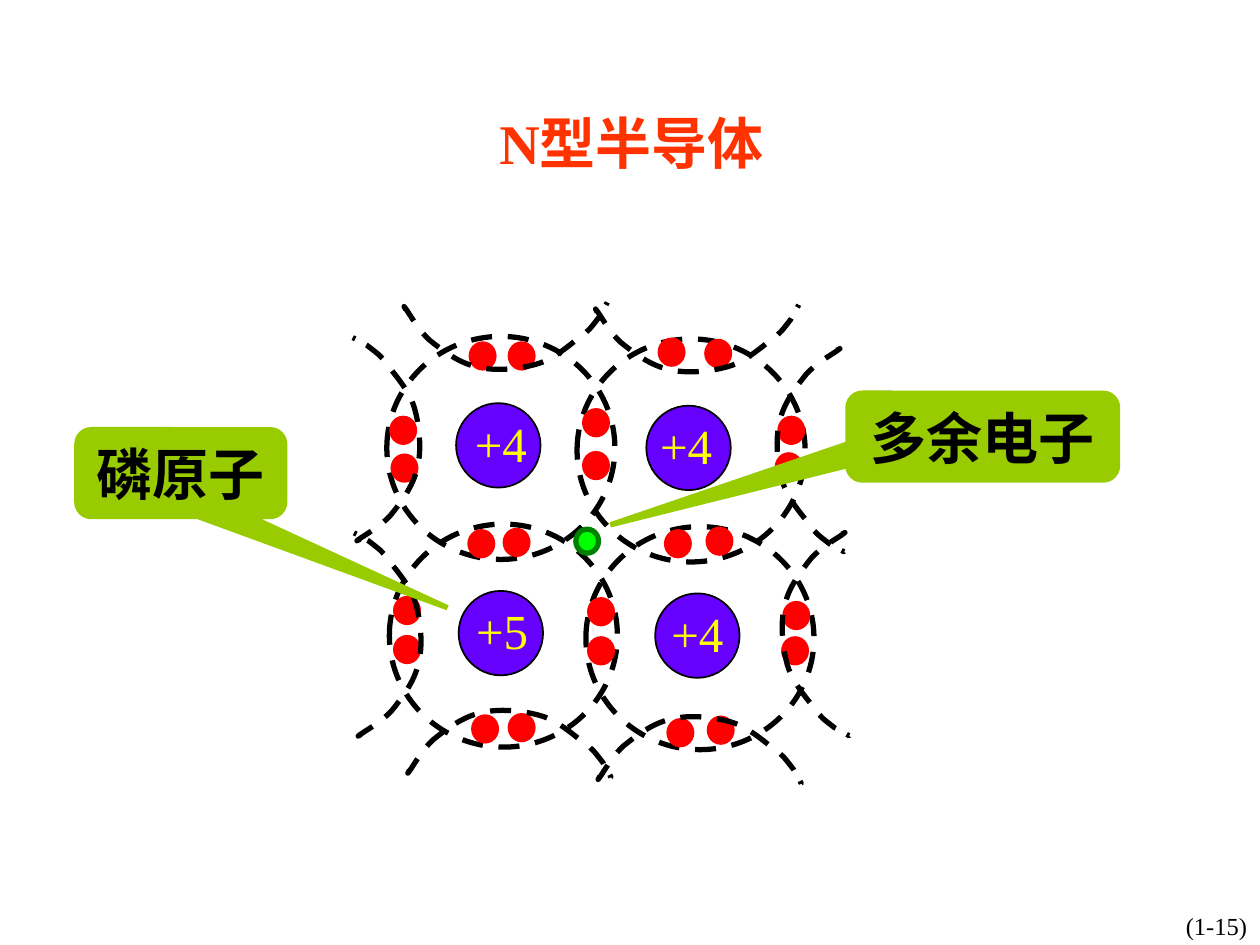
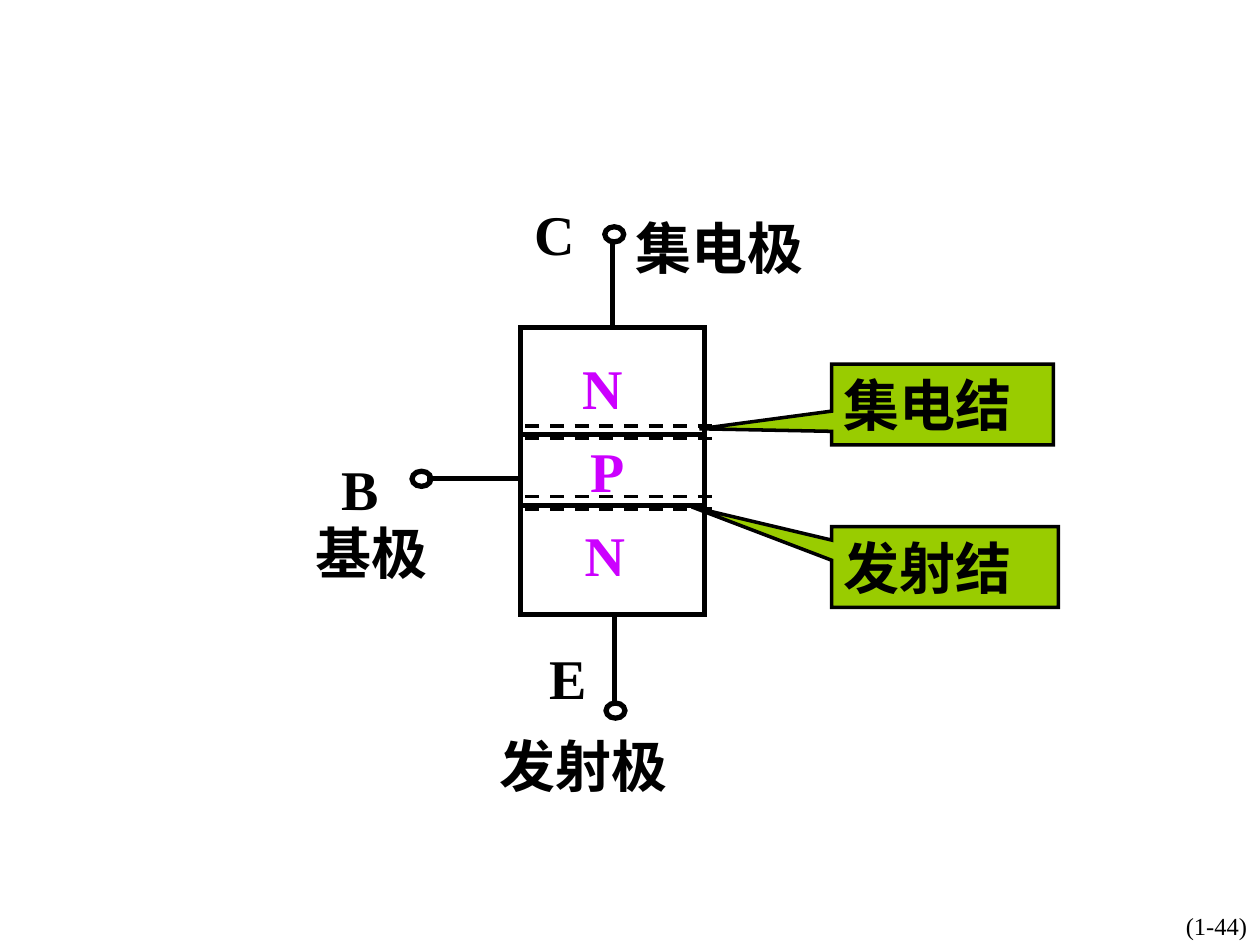
from lxml import etree
from pptx import Presentation
from pptx.dml.color import RGBColor
from pptx.enum import dml, shapes, text
from pptx.oxml.ns import qn
from pptx.util import Inches, Pt

COLORS = {
    "ink": "000000", "title": "FF3300", "electron": "FF0000", "nucleus": "6600FF",
    "charge": "FFFF00", "spare": "00FF00", "spare_edge": "008000",
    "callout": "99CC00", "layer": "CC00FF",
}
FONT = "Times New Roman"
KIND = shapes.MSO_SHAPE
CENTER, LEFT = text.PP_ALIGN.CENTER, text.PP_ALIGN.LEFT
MIDDLE, TOP = text.MSO_ANCHOR.MIDDLE, text.MSO_ANCHOR.TOP

# Outer bond: a start point, then Bezier triples, around the middle of its box
BOND_POINTS = [
    (0.21, -0.79),
    (0.22, -0.79), (0.26, -0.82), (0.22, -0.79),
    (0.18, -0.76), (0.05, -0.69), (-0.03, -0.6),
    (-0.11, -0.5), (-0.21, -0.37), (-0.24, -0.23),
    (-0.28, -0.09), (-0.26, 0.11), (-0.22, 0.25),
    (-0.18, 0.39), (-0.06, 0.52), (0, 0.6),
    (0.05, 0.67), (0.07, 0.68), (0.12, 0.72),
    (0.16, 0.76), (0.23, 0.78), (0.25, 0.8),
    (0.28, 0.81), (0.27, 0.81), (0.27, 0.81),
    (0.27, 0.81), (0.25, 0.8), (0.25, 0.8),
]
TURNS = {
    "right": lambda x, y: (x, y),
    "left": lambda x, y: (-x, -y),
    "top": lambda x, y: (y, -x),
    "bottom": lambda x, y: (y, x),
}
OUTER_BONDS = [
    ("right", 3.63, 1.17), ("right", 3.67, 2.63),
    ("top", 1.21, 0.27), ("top", 2.73, 0.29),
    ("bottom", 1.24, 3.5), ("bottom", 2.75, 3.55),
    ("left", 0.27, 1.09), ("left", 0.28, 2.64),
]
# Charge, place of the dashed ring, indent of the charge within the ring
ATOMS = [("+4", 0.27, 0.27, 0.6), ("+4", 1.78, 0.29, 0.56),
         ("+5", 0.29, 1.76, 0.59), ("+4", 1.85, 1.78, 0.58)]
ELECTRON_PAIRS = [
    ((0.94, 0.33), (1.25, 0.33)), ((2.44, 0.3), (2.81, 0.31)),
    ((0.31, 0.92), (0.32, 1.22)), ((1.84, 0.86), (1.84, 1.2)),
    ((3.39, 0.92), (3.37, 1.21)), ((0.93, 1.82), (1.21, 1.81)),
    ((2.49, 1.82), (2.82, 1.8)), ((0.34, 2.35), (0.34, 2.66)),
    ((1.88, 2.36), (1.88, 2.67)), ((3.43, 2.39), (3.42, 2.67)),
    ((0.96, 3.29), (1.25, 3.28)), ((2.51, 3.32), (2.83, 3.3)),
]


def rgb(name):
    return RGBColor.from_string(COLORS[name])


def set_line(line, color, width, dashed=False):
    line.color.rgb = rgb(color)
    line.width = Pt(width)
    if dashed:
        line.dash_style = dml.MSO_LINE.DASH


def write(box, words, size, color, bold=True, align=CENTER, anchor=MIDDLE, wrap=False):
    frame = box.text_frame
    frame.word_wrap = wrap
    frame.vertical_anchor = anchor
    para = frame.paragraphs[0]
    para.text = words
    para.alignment = align
    para.font.name = FONT
    para.font.size = Pt(size)
    para.font.bold = bold
    para.font.color.rgb = rgb(color)


def add_label(page, words, left, top, width, height=0.64, size=32, color="ink", **style):
    box = page.shapes.add_textbox(*map(Inches, (left, top, width, height)))
    write(box, words, size, color, **style)


def add_figure(page, kind, left, top, width, height, fill=None, edge="ink",
               weight=3, dashed=False):
    figure = page.shapes.add_shape(kind, *map(Inches, (left, top, width, height)))
    figure.shadow.inherit = False
    if fill:
        figure.fill.solid()
        figure.fill.fore_color.rgb = rgb(fill)
    else:
        figure.fill.background()
    set_line(figure.line, edge, weight, dashed)
    outline = figure._element.spPr.find(qn("a:ln"))
    etree.SubElement(outline, qn("a:miter")).set("lim", "800000")
    return figure


def add_wire(page, start, end, weight=3, dashed=False):
    wire = page.shapes.add_connector(
        shapes.MSO_CONNECTOR.STRAIGHT, *map(Inches, (*start, *end)))
    set_line(wire.line, "ink", weight, dashed)
    etree.SubElement(wire._element.spPr, qn("a:effectLst"))
    return wire


def add_callout(page, kind, words, bounds, pointer, edge, weight, **style):
    callout = add_figure(page, kind, *bounds, "callout", edge, weight)
    for index, value in enumerate(pointer):
        callout.adjustments[index] = value
    write(callout, words, 32, "ink", **style)


def new_page(deck, number):
    page = deck.slides.add_slide(deck.slide_layouts[6])
    add_label(page, number, 8.69, 7.18, 1.93, 0.33, 14, bold=False, wrap=True)
    return page


def bend(outline):
    """Turn each three straight segments of a freeform into one Bezier curve."""
    segments = list(outline._element.iter(qn("a:lnTo")))
    for index in range(0, len(segments), 3):
        curve = etree.Element(qn("a:cubicBezTo"))
        segments[index].addprevious(curve)
        for segment in segments[index:index + 3]:
            curve.append(segment[0])
            segment.getparent().remove(segment)


def add_outer_bond(page, side, x, y):
    turned = [TURNS[side](*point) for point in BOND_POINTS]
    points = [(Inches(x + dx), Inches(y + dy)) for dx, dy in turned]
    builder = page.shapes.build_freeform(*points[0], scale=1.0)
    builder.add_line_segments(points[1:], close=False)
    bond = builder.convert_to_shape()
    bend(bond)
    bond.shadow.inherit = False
    bond.fill.background()
    set_line(bond.line, "ink", 3, dashed=True)


def add_electron(page, left, top, fill="electron", edge="electron"):
    add_figure(page, KIND.OVAL, left, top, 0.18, 0.19, fill, edge)


def draw_lattice(page, left, top):
    for _, x, y, _ in ATOMS:
        x, y = left + x, top + y
        add_figure(page, KIND.OVAL, x + 0.55, y + 0.53, 0.67, 0.67, "nucleus", weight=1)
        add_figure(page, KIND.OVAL, x, y, 1.81, 1.77, dashed=True)
    for pair in ELECTRON_PAIRS:
        for x, y in pair:
            add_electron(page, left + x, top + y)
    for side, x, y in OUTER_BONDS:
        add_outer_bond(page, side, left + x, top + y)
    for charge, x, y, indent in ATOMS:
        add_label(page, charge, left + x + indent, top + y + 0.56, 0.77, 0.57, 28,
                  "charge", bold=False, align=LEFT, anchor=TOP, wrap=True)
    add_electron(page, left + 1.77, top + 1.8, "spare", "spare_edge")


def draw_transistor(page, left, top):
    """Draw the N-P-N stack with its top left corner at the given place."""
    width, middle = 1.46, left + 0.73
    layers = []
    layer_top = top
    for height in (0.85, 0.56, 0.87):
        layers.append(add_figure(page, KIND.RECTANGLE, left, layer_top, width, height))
        layer_top += height

    add_wire(page, (middle + 0.02, top + 2.98), (middle + 0.02, top + 2.3))
    collector = add_wire(page, (middle, top), (middle, top - 0.67))
    collector.begin_connect(layers[0], 0)
    add_wire(page, (left, top + 1.2), (left - 0.74, top + 1.2))
    for x, y in ((0.67, -0.8), (-0.86, 1.14), (0.68, 2.98)):
        add_figure(page, KIND.OVAL, left + x, top + y, 0.15, 0.12)

    for words, x, y, label_width in (
            ("B", -1.52, 0.95, 0.49), ("E", 0.13, 2.45, 0.49), ("C", 0.01, -1.07, 0.52),
            ("基极", -1.73, 1.46, 1.09), ("发射极", -0.3, 3.15, 1.6),
            ("集电极", 0.78, -0.96, 1.6)):
        add_label(page, words, left + x, top + y, label_width)
    for words, x, y in (("N", 0.39, 0.15), ("P", 0.43, 0.81), ("N", 0.41, 1.48)):
        add_label(page, words, left + x, top + y, 0.52, color="layer", wrap=True)

    for junction in (0.78, 1.34):
        for gap in (0, 0.1):
            y = top + junction + gap
            add_wire(page, (left + 0.04, y), (left + 1.52, y), 2, dashed=True)


def build_semiconductor_page(deck):
    page = new_page(deck, "(1-15)")
    draw_lattice(page, 2.8, 2.4)
    add_label(page, "N型半导体", 3.81, 0.81, 2.41, color="title")
    for words, bounds, pointer in (
            ("多余电子", (6.73, 3.12, 2.14, 0.69), (-1.381, 1.015, 0.167)),
            ("磷原子", (0.61, 3.41, 1.65, 0.69), (1.283, 1.548, 0.167))):
        add_callout(page, KIND.ROUNDED_RECTANGULAR_CALLOUT, words, bounds, pointer,
                    "callout", 3)


def build_transistor_page(deck):
    page = new_page(deck, "(1-44)")
    draw_transistor(page, 4.13, 2.6)
    for words, bounds, pointer in (
            ("发射结", (6.6, 4.18, 1.8, 0.64), (-1.117, -0.745)),
            ("集电结", (6.6, 2.89, 1.76, 0.64), (-1.096, 0.302))):
        add_callout(page, KIND.RECTANGULAR_CALLOUT, words, bounds, pointer,
                    "ink", 2, align=LEFT, wrap=True)


def main():
    deck = Presentation()
    deck.slide_width, deck.slide_height = Inches(10), Inches(7.5)
    build_semiconductor_page(deck)
    build_transistor_page(deck)
    deck.save("out.pptx")


if __name__ == "__main__":
    main()
